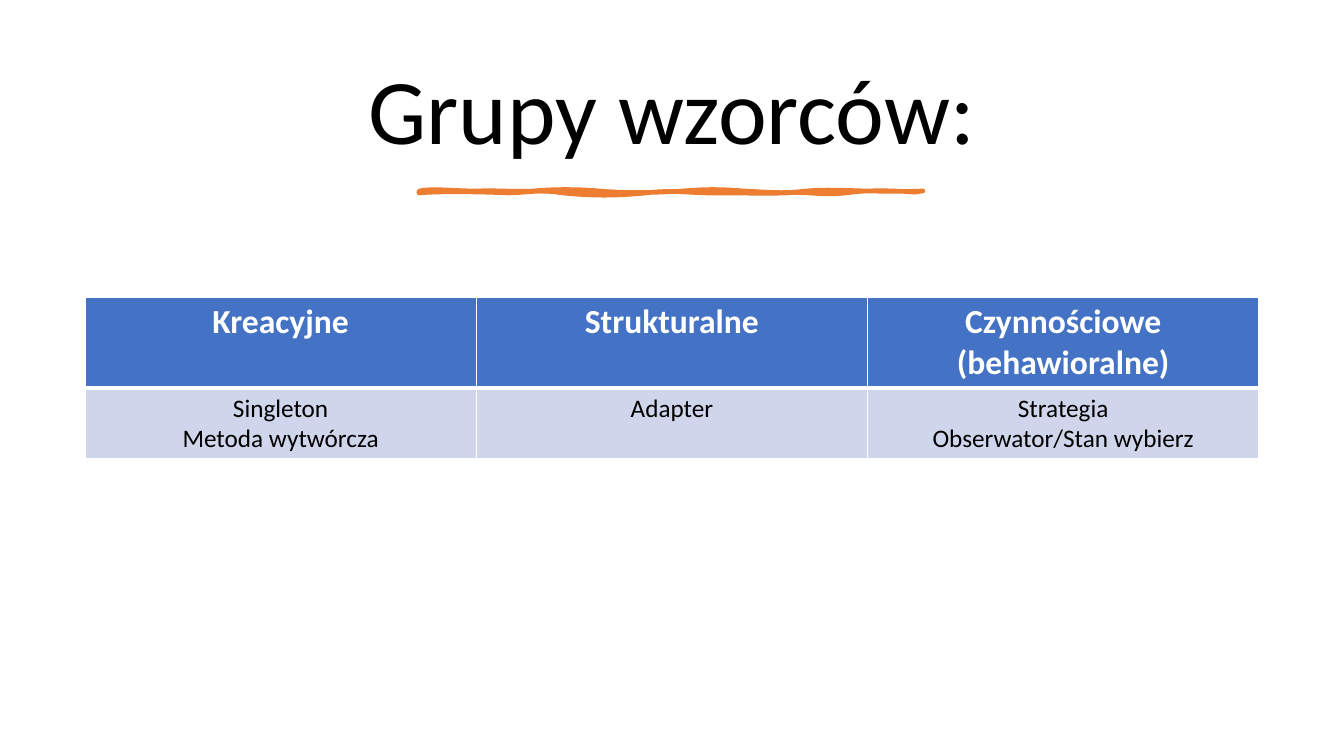
import lxml.etree
import pptx
import pptx.dml.color
import pptx.enum.text
import pptx.oxml.ns
import pptx.util

PX = 914400 / 100.8
FONT = "Calibri"
COLORS = {
    "black": "000000",
    "white": "FFFFFF",
    "accent": "ED7D31",
    "header": "4472C4",
    "body": "CFD5EA",
}
GROUPS = [
    ("Kreacyjne", "Singleton\nMetoda wytwórcza"),
    ("Strukturalne", "Adapter"),
    ("Czynnościowe (behawioralne)", "Strategia\nObserwator/Stan wybierz"),
]
# Cubic curves in px: two control points and an end point each.
BRUSH_TOP = [
    ((12, -3), (38, 0), (57, 0)), ((77, -1), (94, 1), (114, 0)),
    ((134, -2), (159, -2), (181, 0)), ((203, 2), (239, 2), (263, 0)),
    ((288, -2), (300, -2), (326, 0)), ((350, 1), (361, 3), (387, 0)),
    ((413, -3), (455, 2), (504, 0)),
]
BRUSH_BOTTOM = [
    ((483, 0), (453, -2), (427, 2)), ((402, 5), (388, 0), (366, 2)),
    ((343, 3), (334, 2), (303, 2)), ((273, 3), (253, -2), (227, 2)),
    ((200, 5), (170, 5), (144, 2)), ((119, -2), (108, 2), (88, 2)),
    ((68, 1), (22, 0), (0, 2)),
]


def emu(pixels):
    return pptx.util.Emu(round(pixels * PX))


def rgb(name):
    return pptx.dml.color.RGBColor.from_string(COLORS[name])


def write_text(text_frame, text, size, color, bold=False):
    text_frame.text = text
    for paragraph in text_frame.paragraphs:
        paragraph.alignment = pptx.enum.text.PP_ALIGN.CENTER
        for run in paragraph.runs:
            run.font.name = FONT
            run.font.size = pptx.util.Pt(size)
            run.font.bold = bold
            run.font.color.rgb = rgb(color)


def add_title(slide, left, top, width, height):
    shape = slide.shapes.add_textbox(*map(emu, (left, top, width, height)))
    text_frame = shape.text_frame
    text_frame.word_wrap = True
    text_frame.vertical_anchor = pptx.enum.text.MSO_ANCHOR.MIDDLE
    write_text(text_frame, "Grupy wzorców:", 66, "black")
    text_frame.paragraphs[0].line_spacing = 0.9


def sample_curves(start, curves, steps=8):
    """Return points along a chain of cubic curves."""
    points = []
    for first, second, end in curves:
        for step in range(1, steps + 1):
            t = step / steps
            weights = ((1 - t) ** 3, 3 * t * (1 - t) ** 2, 3 * t * t * (1 - t), t ** 3)
            knots = (start, first, second, end)
            points.append(tuple(
                sum(weight * knot[axis] for weight, knot in zip(weights, knots))
                for axis in (0, 1)
            ))
        start = end
    return points


def add_brush_line(slide, left, top):
    points = sample_curves((0, 0), BRUSH_TOP) + sample_curves((504, 2), BRUSH_BOTTOM)
    builder = slide.shapes.build_freeform(0, 0, scale=PX / 100)
    builder.add_line_segments([(x * 100, y * 100) for x, y in points], close=True)
    shape = builder.convert_to_shape(emu(left), emu(top))
    shape.shadow.inherit = False
    shape.fill.solid()
    shape.fill.fore_color.rgb = rgb("accent")
    shape.line.color.rgb = rgb("accent")
    shape.line.width = pptx.util.Pt(3.25)


def set_borders(cell, widths):
    """Draw white borders; widths maps the sides L, R, T, B to points."""
    properties = cell._tc.get_or_add_tcPr()
    qn = pptx.oxml.ns.qn
    for side, width in widths.items():
        line = lxml.etree.SubElement(
            properties, qn(f"a:ln{side}"), w=str(pptx.util.Pt(width)))
        fill = lxml.etree.SubElement(line, qn("a:solidFill"))
        lxml.etree.SubElement(fill, qn("a:srgbClr"), val=COLORS["white"])


def add_groups_table(slide, left, top, width, row_heights):
    frame = slide.shapes.add_table(
        len(row_heights), len(GROUPS),
        *map(emu, (left, top, width, sum(row_heights))))
    table = frame.table
    for row, height in zip(table.rows, row_heights):
        row.height = emu(height)
    styles = [
        ("header", 24, "white", True, {"L": 1, "R": 1, "T": 1, "B": 3}),
        ("body", 18, "black", False, {"L": 1, "R": 1, "T": 3, "B": 1}),
    ]
    for column, texts in enumerate(GROUPS):
        table.columns[column].width = emu(width / len(GROUPS))
        for row, (text, style) in enumerate(zip(texts, styles)):
            fill, size, color, bold, borders = style
            cell = table.cell(row, column)
            set_borders(cell, borders)
            cell.fill.solid()
            cell.fill.fore_color.rgb = rgb(fill)
            write_text(cell.text_frame, text, size, color, bold)


def main():
    presentation = pptx.Presentation()
    presentation.slide_width = emu(1344)
    presentation.slide_height = emu(756)
    slide = presentation.slides.add_slide(presentation.slide_layouts[6])
    add_title(slide, 71, 46, 1202, 138)
    add_brush_line(slide, 419, 191)
    add_groups_table(slide, 85, 297, 1174, (91, 71))
    presentation.save("out.pptx")


if __name__ == "__main__":
    main()
